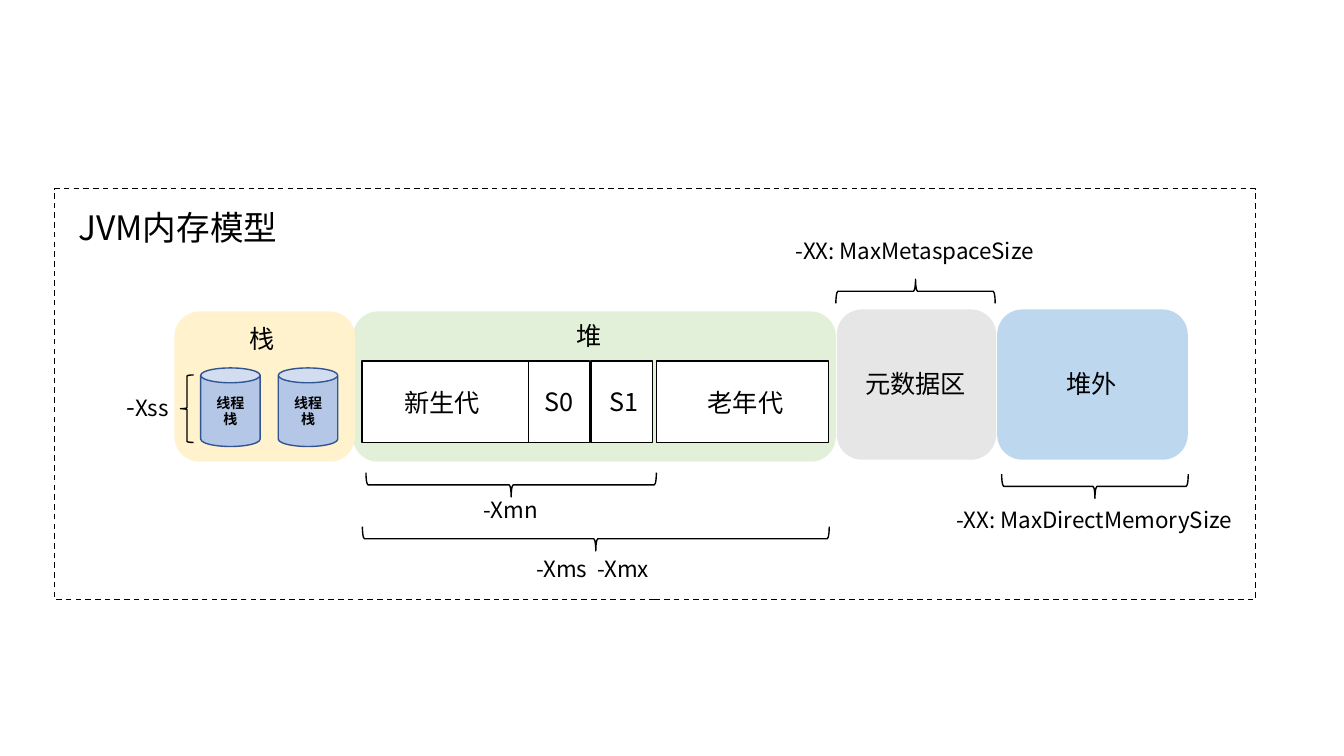
from typing import NamedTuple, Optional

from lxml.etree import SubElement
from pptx import Presentation
from pptx.dml.color import RGBColor
from pptx.enum.dml import MSO_LINE
from pptx.enum.shapes import MSO_SHAPE
from pptx.enum.text import MSO_ANCHOR, PP_ALIGN
from pptx.oxml.ns import qn
from pptx.util import Inches, Pt

FONT = "Noto Sans CJK SC"
BLACK = RGBColor(0x00, 0x00, 0x00)
WHITE = RGBColor(0xFF, 0xFF, 0xFF)
HEAP_GREEN = RGBColor(0xE2, 0xF0, 0xD9)
METASPACE_GRAY = RGBColor(0xE7, 0xE6, 0xE6)
STACK_YELLOW = RGBColor(0xFF, 0xF2, 0xCC)
DIRECT_BLUE = RGBColor(0xBD, 0xD7, 0xEE)
THREAD_BLUE = RGBColor(0xB4, 0xC7, 0xE7)
THREAD_EDGE = RGBColor(0x32, 0x54, 0x91)


class Box(NamedTuple):
    left: float
    top: float
    width: float
    height: float
    fill: Optional[RGBColor] = None
    line: Optional[RGBColor] = None
    kind: MSO_SHAPE = MSO_SHAPE.ROUNDED_RECTANGLE
    rotation: int = 0


class Label(NamedTuple):
    text: str
    left: float
    top: float
    width: float
    height: float = 0.35
    size: int = 18


def draw_box(slide, box: Box):
    shape = slide.shapes.add_shape(
        box.kind, Inches(box.left), Inches(box.top), Inches(box.width), Inches(box.height))
    shape.shadow.inherit = False
    shape.rotation = box.rotation
    if box.fill is None:
        shape.fill.background()
    else:
        shape.fill.solid()
        shape.fill.fore_color.rgb = box.fill
    if box.line is None:
        shape.line.fill.background()
    else:
        shape.line.color.rgb = box.line
        shape.line.width = Pt(1)
    return shape


def format_run(run, size: int, bold: bool = False) -> None:
    run.font.size = Pt(size)
    run.font.name = FONT
    run.font.bold = bold
    run.font.color.rgb = BLACK
    SubElement(run.font._element, qn("a:ea"), typeface=FONT)


def write_text(shape, text: str, size: int, bold: bool = False):
    text_frame = shape.text_frame
    text_frame.text = text
    text_frame.word_wrap = True
    text_frame.vertical_anchor = MSO_ANCHOR.MIDDLE
    paragraph = text_frame.paragraphs[0]
    paragraph.alignment = PP_ALIGN.CENTER
    format_run(paragraph.runs[0], size, bold)
    return paragraph


def draw_label(slide, label: Label):
    text_box = slide.shapes.add_textbox(
        Inches(label.left), Inches(label.top), Inches(label.width), Inches(label.height))
    text_box.text_frame.margin_top = text_box.text_frame.margin_bottom = 0
    return write_text(text_box, label.text, label.size)


def brace(left: float, top: float, width: float, height: float, rotation: int = 0) -> Box:
    return Box(left, top, width, height, None, BLACK, MSO_SHAPE.LEFT_BRACE, rotation)


def generation(left: float, width: float) -> Box:
    return Box(left, 3.58, width, 0.81, WHITE, BLACK, MSO_SHAPE.RECTANGLE)


BOXES = [
    # Memory areas
    Box(3.5, 3.09, 4.79, 1.49, HEAP_GREEN),
    Box(8.3, 3.07, 1.58, 1.49, METASPACE_GRAY),
    Box(1.73, 3.09, 1.79, 1.49, STACK_YELLOW),
    Box(9.89, 3.07, 1.89, 1.49, DIRECT_BLUE),
    # Heap generations
    generation(3.59, 1.65),
    generation(5.24, 0.61),
    generation(5.86, 0.61),
    generation(6.51, 1.71),
    # Braces over the sized areas
    brace(5.79, 3.03, 0.24, 4.63, 270),
    brace(4.95, 3.37, 0.24, 2.88, 270),
    brace(10.74, 3.9, 0.24, 1.85, 270),
    brace(8.96, 2.1, 0.24, 1.58, 90),
    brace(1.79, 3.72, 0.13, 0.67),
]

LABELS = [
    Label("JVM内存模型", 0.6, 2, 2.33, 0.5, 24),
    # Area names
    Label("栈", 1.95, 3.18, 1.3),
    Label("堆", 5.34, 3.15, 1),
    Label("元数据区", 8.39, 3.63, 1.38),
    Label("堆外", 10.14, 3.63, 1.38),
    # Generation names
    Label("新生代", 3.67, 3.82, 1.43),
    Label("S0", 5.19, 3.81, 0.7),
    Label("S1", 5.84, 3.81, 0.7),
    Label("老年代", 6.68, 3.82, 1.43),
    # JVM options
    Label("-Xms  -Xmx", 4.85, 5.46, 2.06, 0.37, 16),
    Label("-Xmn", 4.31, 4.87, 1.51, 0.37, 16),
    Label("-XX: MaxMetaspaceSize", 7.45, 2.3, 3.25, 0.37, 16),
    Label("-XX: MaxDirectMemorySize", 9.26, 4.97, 3.19, 0.37, 16),
]

presentation = Presentation()
presentation.slide_width = Inches(13.33)
presentation.slide_height = Inches(7.5)
slide = presentation.slides.add_slide(presentation.slide_layouts[6])

# Dashed frame around the model
frame = draw_box(slide, Box(0.54, 1.87, 11.91, 4.08, None, BLACK, MSO_SHAPE.RECTANGLE))
frame.line.dash_style = MSO_LINE.DASH

for box in BOXES:
    draw_box(slide, box)

# Thread stacks
for left in (1.99, 2.76):
    thread = draw_box(
        slide, Box(left, 3.65, 0.59, 0.78, THREAD_BLUE, THREAD_EDGE, MSO_SHAPE.CAN))
    write_text(thread, "线程栈", 10, bold=True)

for label in LABELS:
    draw_label(slide, label)

# Stack size option, with a larger dash
stack_option = draw_label(slide, Label("-", 0.95, 3.83, 1.03, 0.4))
option_name = stack_option.add_run()
option_name.text = "Xss"
format_run(option_name, 16)

presentation.save("out.pptx")
